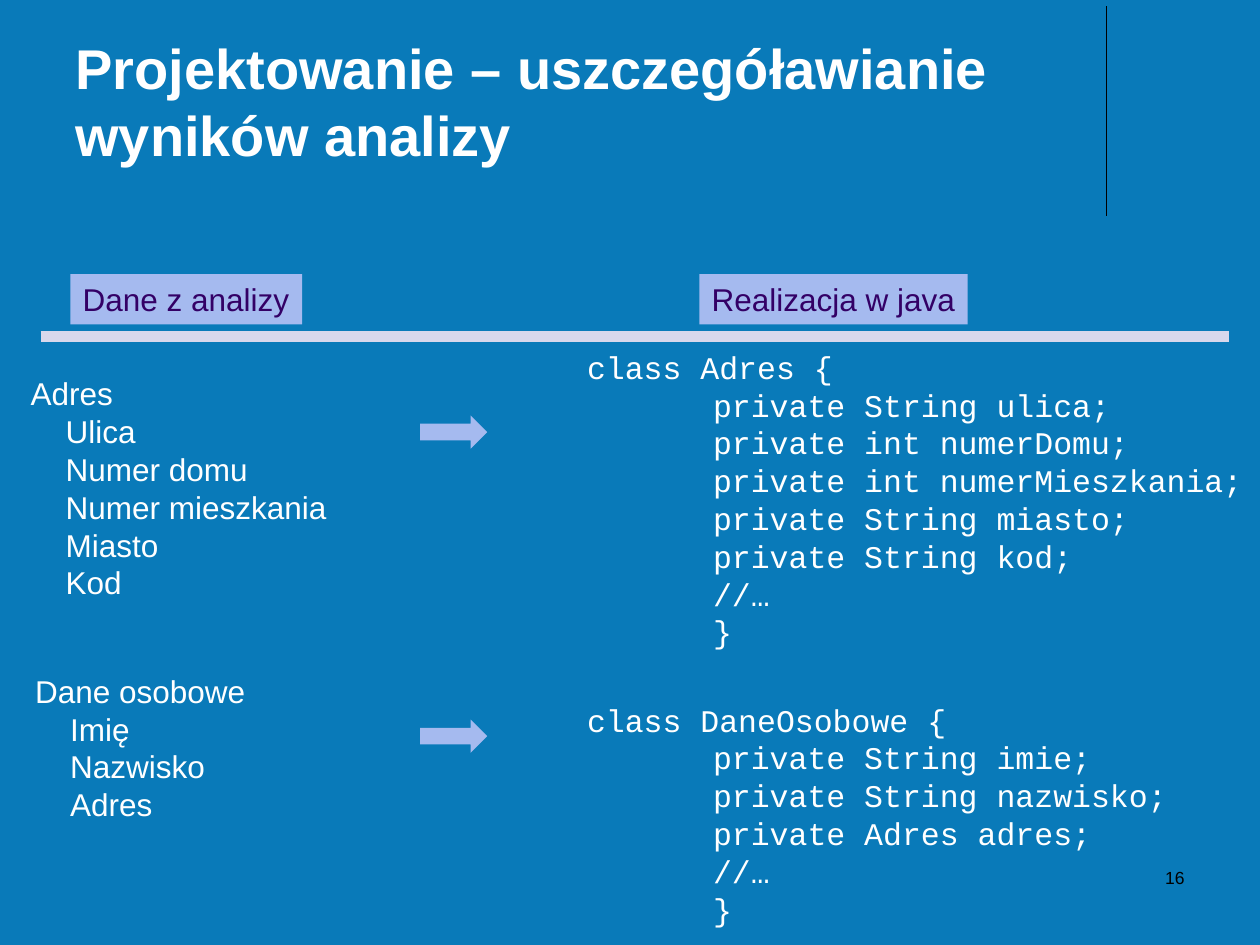
from dataclasses import dataclass

from lxml import etree
from pptx import Presentation
from pptx.dml.color import RGBColor
from pptx.enum.shapes import MSO_CONNECTOR, MSO_SHAPE
from pptx.enum.text import MSO_ANCHOR, PP_ALIGN
from pptx.oxml.ns import qn
from pptx.util import Pt

STRAIGHT = MSO_CONNECTOR.STRAIGHT
RECTANGLE = MSO_SHAPE.RECTANGLE
RIGHT_ARROW = MSO_SHAPE.RIGHT_ARROW
TOP, BOTTOM = MSO_ANCHOR.TOP, MSO_ANCHOR.BOTTOM
LEFT, RIGHT = PP_ALIGN.LEFT, PP_ALIGN.RIGHT


@dataclass(frozen=True)
class Theme:
    """Colours, fonts and type sizes of the slide."""
    background: str = "097AB9"
    light: str = "FFFFFF"
    dark: str = "000000"
    accent: str = "A5BAEF"
    label: str = "330066"
    divider: str = "D8D8EC"
    sans: str = "Arial"
    mono: str = "Courier New"
    title_size: int = 32
    body_size: int = 18
    number_size: int = 10
    leading: float = 1.2


THEME = Theme()

ADDRESS_FIELDS = ["Ulica", "Numer domu", "Numer mieszkania", "Miasto", "Kod"]
PERSON_FIELDS = ["Imię", "Nazwisko", "Adres"]
JAVA_CLASSES = [
    ["class Adres {", "\tprivate String ulica;", " \tprivate int numerDomu;",
     "\tprivate int numerMieszkania;", "\tprivate String miasto;",
     "\tprivate String kod;", "\t//…", "\t}"],
    ["class DaneOsobowe {", "\tprivate String imie;",
     "\tprivate String nazwisko;", "\tprivate Adres adres;", "\t//…", "\t}"],
]


def color(value):
    """Turn a hex string into a colour."""
    return RGBColor.from_string(value)


def set_up_frame(frame, wrap=False, anchor=TOP):
    """Set the insets, wrapping and anchor of a text frame."""
    frame.word_wrap = wrap
    frame.vertical_anchor = anchor
    frame.margin_left = frame.margin_right = Pt(7.2)
    frame.margin_top = frame.margin_bottom = Pt(3.6)


def add_tab_stop(paragraph, position):
    """Give a paragraph one left tab stop."""
    stops = etree.SubElement(paragraph._p.get_or_add_pPr(), qn("a:tabLst"))
    etree.SubElement(stops, qn("a:tab"), pos=str(Pt(position)), algn="l")


def write_line(frame, index, text, ink, size=THEME.body_size, font=THEME.sans,
               bold=False, align=LEFT, indent=0, gap=0, tab=0):
    """Write one paragraph with a single run."""
    paragraph = frame.add_paragraph() if index else frame.paragraphs[0]
    paragraph.alignment = align
    paragraph.line_spacing = Pt(size * THEME.leading)
    if gap:
        paragraph.space_before = Pt(gap)
    if indent:
        paragraph._p.get_or_add_pPr().set("marL", str(Pt(indent)))
    if tab:
        add_tab_stop(paragraph, tab)
    run = paragraph.add_run()
    run.text = text
    run.font.name = font
    run.font.size = Pt(size)
    run.font.bold = bold
    run.font.color.rgb = color(ink)


def add_text_frame(slide, left, top, width, height, wrap=False, anchor=TOP):
    """Add a text box and return its frame."""
    box = slide.shapes.add_textbox(Pt(left), Pt(top), Pt(width), Pt(height))
    set_up_frame(box.text_frame, wrap, anchor)
    return box.text_frame


def add_rule(slide, start, end, ink, weight):
    """Draw a straight line without a shadow."""
    rule = slide.shapes.add_connector(STRAIGHT, *map(Pt, start + end))
    rule.line.color.rgb = color(ink)
    rule.line.width = Pt(weight)
    etree.SubElement(rule._element.spPr, qn("a:effectLst"))


def add_accent(slide, kind, left, top, width, height):
    """Add a flat accent-coloured shape."""
    accent = slide.shapes.add_shape(kind, Pt(left), Pt(top), Pt(width), Pt(height))
    accent.shadow.inherit = False
    accent.fill.solid()
    accent.fill.fore_color.rgb = color(THEME.accent)
    accent.line.fill.background()
    return accent


def add_heading(slide, text, left, width):
    """Add a column heading on an accent rectangle."""
    heading = add_accent(slide, RECTANGLE, left, 156.6, width, 28.8)
    set_up_frame(heading.text_frame)
    write_line(heading.text_frame, 0, text, THEME.label)


def add_arrow(slide, top):
    """Add an arrow from the analysis data to the code."""
    arrow = add_accent(slide, RIGHT_ARROW, 240, top, 38.4, 19)
    arrow.adjustments[0] = 0.5
    arrow.adjustments[1] = 0.5


def add_entity(slide, name, fields, left, top, width):
    """List an entity with its indented fields."""
    height = (len(fields) + 1) * THEME.body_size * THEME.leading + 7.2
    frame = add_text_frame(slide, left, top, width, height)
    write_line(frame, 0, name, THEME.light)
    for index, field in enumerate(fields, 1):
        write_line(frame, index, field, THEME.light, indent=20)


def add_code(slide):
    """Write the Java classes with a gap between them."""
    frame = add_text_frame(slide, 328.4, 195.2, 388.8, 338.4)
    index = 0
    for java_class in JAVA_CLASSES:
        for line in java_class:
            starts_next = index and line == java_class[0]
            write_line(frame, index, line, THEME.light, font=THEME.mono,
                       gap=28.8 if starts_next else 0, tab=72)
            index += 1


def main():
    """Build and save the slide."""
    deck = Presentation()
    deck.slide_width, deck.slide_height = Pt(720), Pt(540)
    slide = deck.slides.add_slide(deck.slide_layouts[6])
    slide.background.fill.solid()
    slide.background.fill.fore_color.rgb = color(THEME.background)

    add_rule(slide, (632.2, 3.6), (632.2, 123.6), THEME.dark, 0.75)
    add_code(slide)
    title = add_text_frame(slide, 36, 9.6, 594, 90, wrap=True, anchor=BOTTOM)
    write_line(title, 0, "Projektowanie – uszczegóławianie wyników analizy",
               THEME.light, THEME.title_size, bold=True)
    add_entity(slide, "Dane osobowe", PERSON_FIELDS, 13, 380.4, 134.6)
    add_entity(slide, "Adres", ADDRESS_FIELDS, 10.4, 210.4, 183.6)
    add_heading(slide, "Dane z analizy", 40.2, 132.5)
    add_heading(slide, "Realizacja w java", 399.6, 153.4)
    add_rule(slide, (23.2, 192.2), (702.2, 192.2), THEME.divider, 6)
    for top in (237.4, 411.2):
        add_arrow(slide, top)
    page_number = add_text_frame(slide, 516.2, 491.8, 167.8, 36, wrap=True)
    write_line(page_number, 0, "16", THEME.dark, THEME.number_size, align=RIGHT)

    deck.save("out.pptx")


if __name__ == "__main__":
    main()
